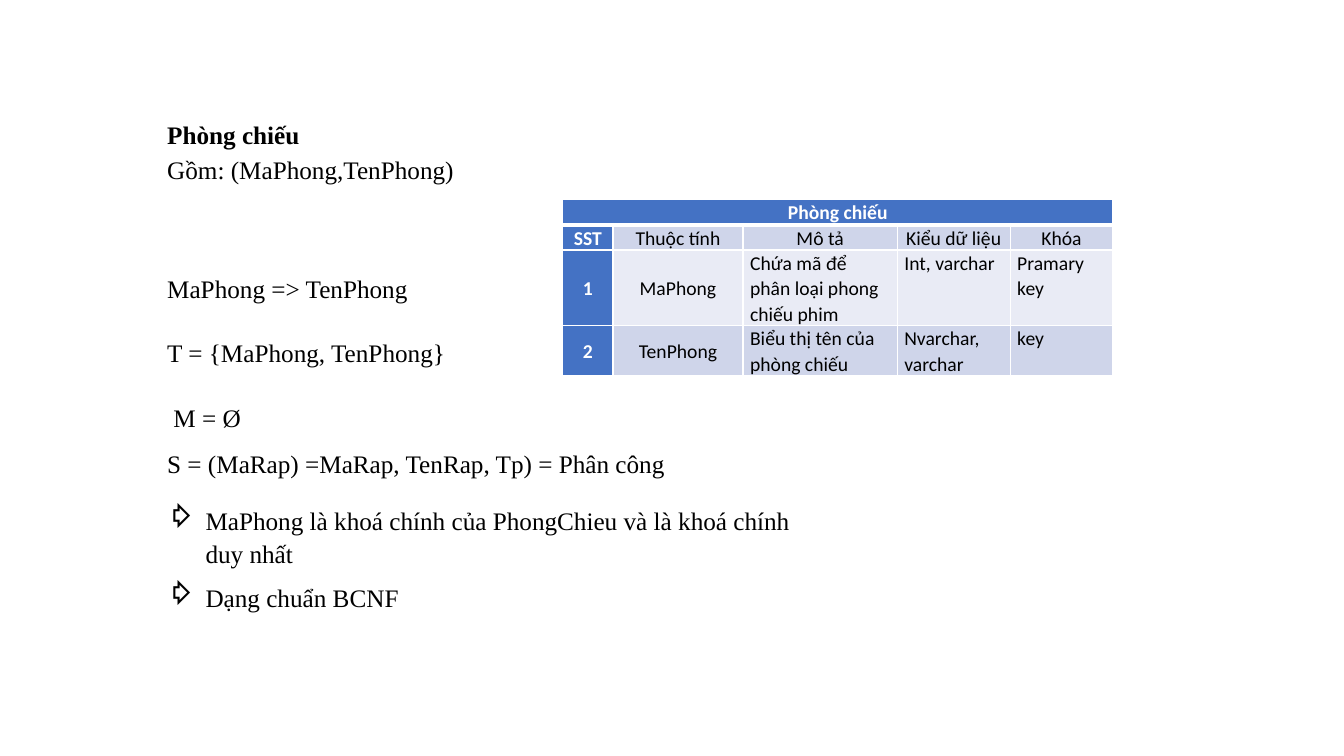
import pptx
import pptx.dml.color
import pptx.enum.text
import pptx.oxml
import pptx.oxml.ns
import pptx.util

Inches = pptx.util.Inches
Pt = pptx.util.Pt
ALIGN = pptx.enum.text.PP_ALIGN
ANCHOR = pptx.enum.text.MSO_ANCHOR

SLIDE_WIDTH, SLIDE_HEIGHT = 13.33, 7.5
COLORS = {
    "text": "000000",
    "white": "FFFFFF",
    "header": "4472C4",
    "band_dark": "CFD5EA",
    "band_light": "E9EBF5",
}
BODY_FONT, TABLE_FONT = "Times New Roman", "Calibri"

# Each line: text, line spacing, points before, points after, bulleted
HEADING_LINES = [
    ("Phòng chiếu", 1.07, 2, 0, False),
    ("Gồm: (MaPhong,TenPhong)", 1.07, 2, 0, False),
]
DEPENDENCY_LINES = [
    ("MaPhong => TenPhong", 1.76, 3.6, 8, False),
    ("T = {MaPhong, TenPhong}", 1.76, 0.1, 8, False),
    (" M = Ø", 1.76, 0.1, 8, False),
    ("S = (MaRap) =MaRap, TenRap, Tp) = Phân công", 1.15, 0, 8, False),
    ("MaPhong là khoá chính của PhongChieu và là khoá chính duy nhất",
     1.07, 10, 8, True),
    ("Dạng chuẩn BCNF", 1.07, 0.9, 8, True),
]
TABLE_ROWS = [
    ["Phòng chiếu", "", "", "", ""],
    ["SST", "Thuộc tính", "Mô tả", "Kiểu dữ liệu", "Khóa"],
    ["1", "MaPhong", "Chứa mã để phân loại phong chiếu phim",
     "Int, varchar", "Pramary key"],
    ["2", "TenPhong", "Biểu thị tên của phòng chiếu",
     "Nvarchar, varchar", "key"],
]
COLUMN_WIDTHS = [0.5, 1.29, 1.53, 1.12, 1.02]
ROW_HEIGHTS = [0.25, 0.25, 0.75, 0.5]


def rgb(name):
    return pptx.dml.color.RGBColor.from_string(COLORS[name])


def style_font(font, name, size, color, bold=False):
    font.name, font.size, font.bold = name, Pt(size), bold
    font.color.rgb = rgb(color)


def add_arrow_bullet(paragraph):
    properties = paragraph._p.get_or_add_pPr()
    indent = Inches(0.38)
    properties.set("marL", str(indent))
    properties.set("indent", str(-indent))
    properties.append(pptx.oxml.parse_xml(
        f'<a:buChar {pptx.oxml.ns.nsdecls("a")} char="⇨"/>'))


def add_text_lines(slide, box, lines, bold_first=False):
    """Place a wrapped block of body text in the given box."""
    frame = slide.shapes.add_textbox(*map(Inches, box)).text_frame
    frame.word_wrap = True
    for index, (text, spacing, before, after, bulleted) in enumerate(lines):
        paragraph = frame.add_paragraph() if index else frame.paragraphs[0]
        paragraph.text = text
        paragraph.line_spacing = spacing
        paragraph.space_before, paragraph.space_after = Pt(before), Pt(after)
        style_font(paragraph.font, BODY_FONT, 18, "text",
                   bold_first and index == 0)
        if bulleted:
            add_arrow_bullet(paragraph)


def add_cell_borders(cell, row):
    """White grid with a thicker rule under the title row."""
    widths = {"L": 1, "R": 1, "T": 3 if row == 1 else 1,
              "B": 3 if row == 0 else 1}
    properties = cell._tc.get_or_add_tcPr()
    for side, width in widths.items():
        properties.append(pptx.oxml.parse_xml(
            f'<a:ln{side} {pptx.oxml.ns.nsdecls("a")} w="{Pt(width)}">'
            f'<a:solidFill><a:srgbClr val="{COLORS["white"]}"/></a:solidFill>'
            f'</a:ln{side}>'))


def style_cell(cell, text, row, column):
    is_header = row == 0 or column == 0
    is_centered = row < 2 or column < 2
    add_cell_borders(cell, row)
    cell.fill.solid()
    band = "band_light" if row == 2 else "band_dark"
    cell.fill.fore_color.rgb = rgb("header" if is_header else band)
    cell.margin_left = cell.margin_right = Inches(0.07)
    cell.margin_top = cell.margin_bottom = 0
    cell.vertical_anchor = ANCHOR.MIDDLE if is_centered else ANCHOR.TOP
    paragraph = cell.text_frame.paragraphs[0]
    paragraph.text = text
    paragraph.line_spacing = 1.07
    paragraph.alignment = ALIGN.CENTER if is_centered else ALIGN.LEFT
    style_font(paragraph.font, TABLE_FONT, 14,
               "white" if is_header else "text", is_header)


def add_attribute_table(slide, left, top):
    """Place the attribute table with its top left corner at the point."""
    table = slide.shapes.add_table(
        len(ROW_HEIGHTS), len(COLUMN_WIDTHS), Inches(left), Inches(top),
        Inches(sum(COLUMN_WIDTHS)), Inches(sum(ROW_HEIGHTS))).table
    for column, width in zip(table.columns, COLUMN_WIDTHS):
        column.width = Inches(width)
    for row, height in zip(table.rows, ROW_HEIGHTS):
        row.height = Inches(height)
    for row, texts in enumerate(TABLE_ROWS):
        for column, text in enumerate(texts):
            style_cell(table.cell(row, column), text, row, column)
    table.cell(0, 0).merge(table.cell(0, len(COLUMN_WIDTHS) - 1))


def main():
    presentation = pptx.Presentation()
    presentation.slide_width = Inches(SLIDE_WIDTH)
    presentation.slide_height = Inches(SLIDE_HEIGHT)
    slide = presentation.slides.add_slide(presentation.slide_layouts[6])

    text_left, text_width = 1.56, SLIDE_WIDTH / 2
    # Heading
    add_text_lines(slide, (text_left, 1.11, text_width, 0.73),
                   HEADING_LINES, bold_first=True)
    # Attribute table
    add_attribute_table(slide, 5.58, 1.98)
    # Functional dependencies and conclusions
    add_text_lines(slide, (text_left, 2.43, text_width, 3.71),
                   DEPENDENCY_LINES)

    presentation.save("out.pptx")


if __name__ == "__main__":
    main()
